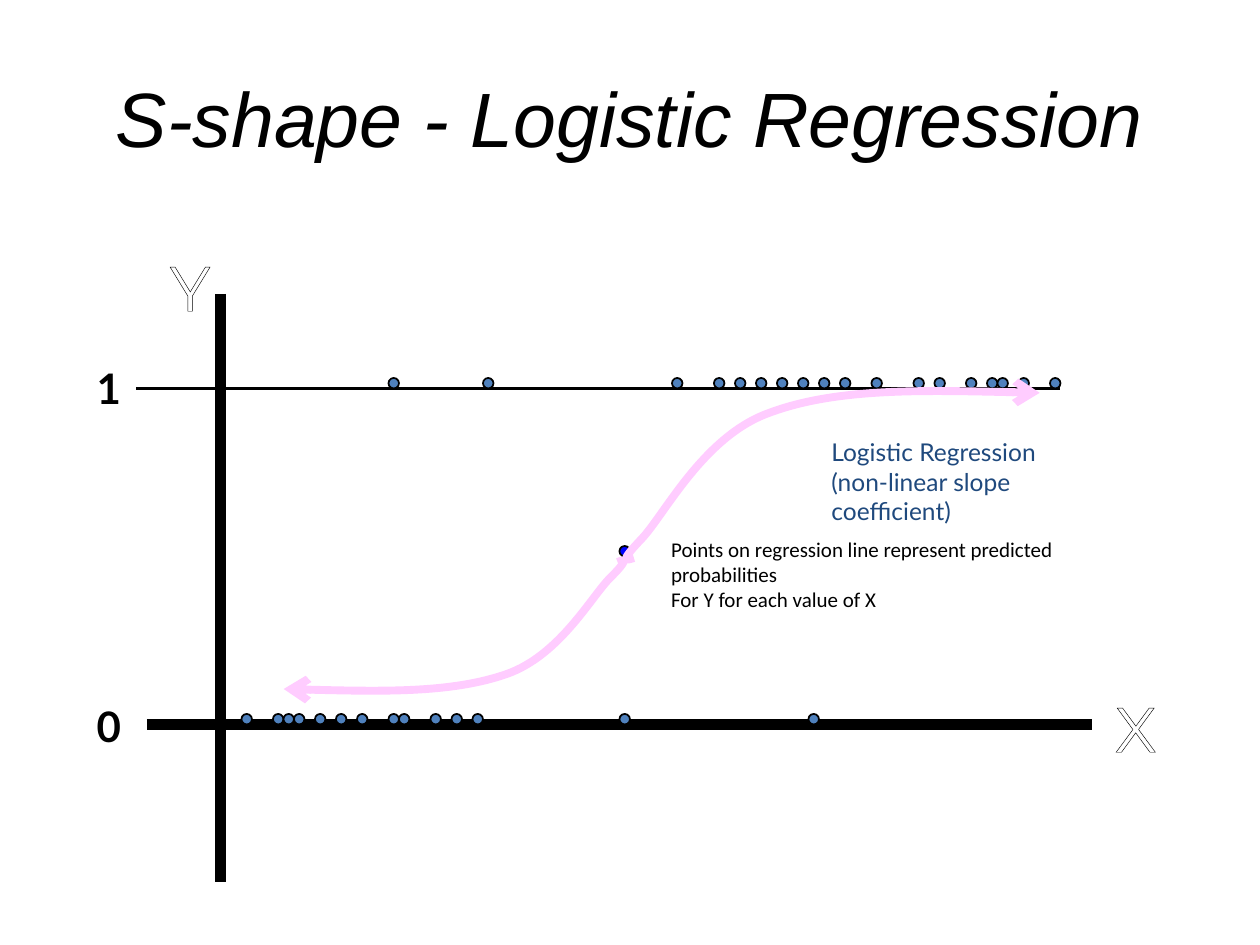
from dataclasses import dataclass

from lxml import etree
from pptx import Presentation
from pptx.dml.color import RGBColor
from pptx.enum.shapes import MSO_CONNECTOR, MSO_SHAPE
from pptx.enum.text import MSO_ANCHOR, PP_ALIGN
from pptx.oxml.ns import qn
from pptx.util import Cm, Pt

STRAIGHT, ELLIPSE = MSO_CONNECTOR.STRAIGHT, MSO_SHAPE.OVAL
LEFT, CENTER, MIDDLE = PP_ALIGN.LEFT, PP_ALIGN.CENTER, MSO_ANCHOR.MIDDLE
BLACK, WHITE, BLUE, NAVY = "000000", "FFFFFF", "4F81BD", "1F497D"
BRIGHT_BLUE, PINK = "0000FF", "FFCCFF"
GRID = 2.54 / 12  # the plot sits on a grid of twelve steps to the inch


@dataclass
class Rule:
    """A straight line in grid steps."""
    x1: int
    y1: int
    x2: int
    y2: int
    weight: float


@dataclass
class Label:
    """A text box in centimetres."""
    lines: list[str]
    left: float
    top: float
    width: float
    height: float
    size: int
    font: str
    color: str = BLACK
    bold: bool = False
    wrap: bool = False
    align: PP_ALIGN = LEFT
    outlined: bool = False


@dataclass
class DotRow:
    """Dots of one colour on one grid row."""
    row: int
    columns: list[int]
    color: str = BLUE


RULES = [
    Rule(21, 28, 21, 84, 6),
    Rule(14, 69, 104, 69, 6),
    Rule(13, 37, 101, 37, 2.25),
]
LABELS = [
    Label(["0"], 1.7, 14, 1.02, 1.27, 24, "Lato", bold=True),
    Label(["1"], 1.7, 7.19, 1.02, 1.27, 24, "Lato", bold=True),
    Label(["X"], 22.23, 13.77, 0.99, 1.8, 36, "Montserrat", WHITE,
          align=CENTER, outlined=True),
    Label(["Y"], 3.18, 4.88, 0.99, 1.8, 36, "Montserrat", WHITE,
          align=CENTER, outlined=True),
    Label(["Logistic Regression ", "(non-linear slope coefficient)"],
          16.51, 8.69, 6.35, 2.03, 14, "Lato", NAVY, wrap=True),
    Label(["Points on regression line represent predicted probabilities",
           "For Y for each value of X"],
          13.28, 10.69, 9.93, 1.27, 12, "Calibri", wrap=True),
]
DOT_ROWS = [
    DotRow(68, [23, 26, 27, 28, 30, 32, 34, 37, 38, 41, 43, 45, 59, 77]),
    DotRow(36, [37, 46, 64, *range(68, 81, 2), 83, 87, 89, 92, 94, 95, 97, 100]),
    DotRow(52, [59], BRIGHT_BLUE),
]
# Each curve is a start point followed by Bezier triples, in centimetres.
CURVES = [
    [(20.96, 7.92), (18.9, 7.87), (16.84, 7.82), (15.49, 8.33), (14.17, 8.81),
     (13.39, 10.39), (12.93, 10.87), (12.47, 11.35), (12.62, 11.3), (12.78, 11.25)],
    [(5.72, 13.89), (7.42, 13.94), (9.12, 13.97), (10.21, 13.59), (11.3, 13.21),
     (11.94, 11.99), (12.32, 11.63), (12.7, 11.25), (12.57, 11.28), (12.45, 11.33)],
]


def rgb(color: str) -> RGBColor:
    """Turn a hex string into a colour."""
    return RGBColor.from_string(color)


def grid(steps: float) -> Cm:
    """Turn grid steps into a length."""
    return Cm(steps * GRID)


def set_line(sp, color: str, weight: float) -> None:
    """Give a shape or connector its line."""
    sp.line.color.rgb = rgb(color)
    sp.line.width = Pt(weight)


def style_run(r, font: str, size: int, color: str) -> None:
    """Set the font, size and colour of a run."""
    r.font.name, r.font.size = font, Pt(size)
    r.font.color.rgb = rgb(color)


def add_rule(shapes, rule: Rule) -> None:
    """Draw a straight line without a shadow."""
    s = shapes.add_connector(STRAIGHT, grid(rule.x1), grid(rule.y1),
                             grid(rule.x2), grid(rule.y2))
    set_line(s, BLACK, rule.weight)
    etree.SubElement(s._element.spPr, qn("a:effectLst"))


def outline_run(r) -> None:
    """Draw a thin black outline round the letters of a run."""
    ln = etree.Element(qn("a:ln"), w=str(Pt(0.75)))
    fill = etree.SubElement(ln, qn("a:solidFill"))
    etree.SubElement(fill, qn("a:srgbClr"), val=BLACK)
    r.font._element.insert(0, ln)


def add_label(shapes, label: Label) -> None:
    """Add a text box, one paragraph for each line."""
    s = shapes.add_textbox(Cm(label.left), Cm(label.top),
                           Cm(label.width), Cm(label.height))
    tf = s.text_frame
    tf.word_wrap = label.wrap
    tf.text = "\n".join(label.lines)
    for p in tf.paragraphs:
        p.alignment = label.align
        for r in p.runs:
            style_run(r, label.font, label.size, label.color)
            r.font.bold = label.bold
            if label.outlined:
                outline_run(r)


def add_dots(shapes, dots: DotRow) -> None:
    """Draw the dots of one row, each one grid step wide."""
    for column in dots.columns:
        s = shapes.add_shape(ELLIPSE, grid(column), grid(dots.row), grid(1), grid(1))
        s.shadow.inherit = False
        s.fill.solid()
        s.fill.fore_color.rgb = rgb(dots.color)
        set_line(s, BLACK, 1)


def add_curve(shapes, points: list[tuple[float, float]]) -> None:
    """Draw an open Bezier curve with an arrowhead at its start."""
    start, *rest = [(Cm(x), Cm(y)) for x, y in points]
    builder = shapes.build_freeform(*start)
    builder.add_line_segments(rest, close=False)
    s = builder.convert_to_shape()
    s.shadow.inherit = False
    s.fill.background()
    set_line(s, PINK, 4.5)
    etree.SubElement(s.line._get_or_add_ln(), qn("a:headEnd"), type="arrow")
    outline = next(s._element.iter(qn("a:path")))
    segments = outline.findall(qn("a:lnTo"))
    for i in range(0, len(segments), 3):
        bezier = etree.SubElement(outline, qn("a:cubicBezTo"))
        for segment in segments[i:i + 3]:
            bezier.append(segment[0])
            outline.remove(segment)


def main() -> None:
    """Build the slide and save it."""
    prs = Presentation()
    prs.slide_width, prs.slide_height = Cm(25.4), Cm(19.05)
    slide = prs.slides.add_slide(prs.slide_layouts.get_by_name("Title Only"))
    title = slide.shapes.title
    title.left, title.top, title.width, title.height = (
        Cm(1.27), Cm(0.76), Cm(22.86), Cm(3.18))
    tf = title.text_frame
    tf.text = "S-shape - Logistic Regression"
    tf.vertical_anchor = MIDDLE
    p = tf.paragraphs[0]
    p.alignment = CENTER
    style_run(p.runs[0], "Arial", 44, BLACK)
    p.runs[0].font.italic = True
    for draw, items in ((add_rule, RULES), (add_label, LABELS),
                        (add_dots, DOT_ROWS), (add_curve, CURVES)):
        for item in items:
            draw(slide.shapes, item)
    prs.save("out.pptx")


main()
